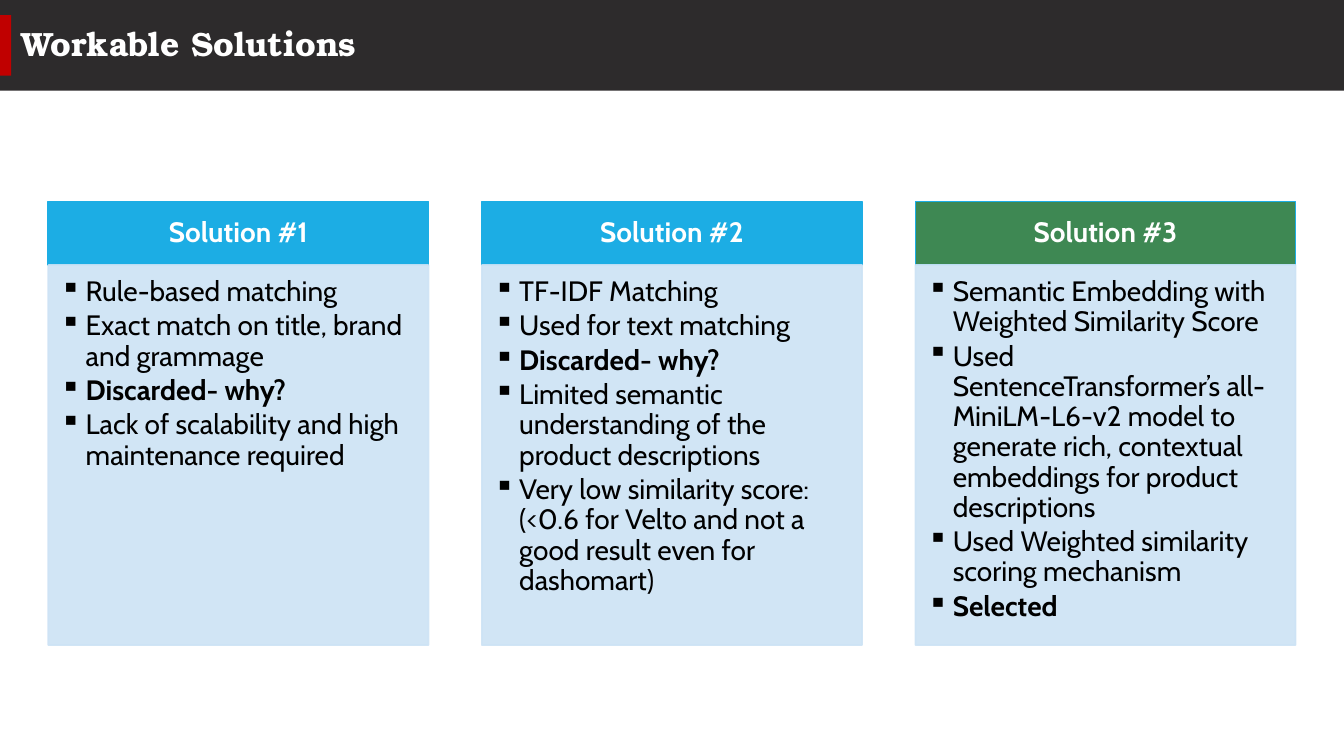
"""Build the slide that compares three workable solutions."""
from lxml import etree
from pptx import Presentation
from pptx import util as u
from pptx.dml.color import RGBColor
from pptx.enum import shapes, text
from pptx.oxml.ns import qn


def block(x, y, w, h, fill, line=None, alpha=None):
    box = slide.shapes.add_shape(
        shapes.MSO_SHAPE.RECTANGLE, *(u.Inches(n) for n in (x, y, w, h)))
    box.shadow.inherit = False
    box.fill.solid()
    box.fill.fore_color.rgb = RGBColor.from_string(fill)
    if line:
        box.line.color.rgb = RGBColor.from_string(line)
        box.line.width = u.Pt(1.25)
    else:
        box.line.fill.background()
    if alpha:
        for tint in box.element.xpath("p:spPr//a:srgbClr"):
            etree.SubElement(tint, qn("a:alpha"), val=str(alpha * 1000))
    return box


def write(box, lines, size=20, font="Cabin", color="000000", bold=(),
          align="LEFT", anchor="MIDDLE", pad=(0.1, 0.05, 0.1, 0.05),
          after=0, bullet=None):
    frame = box.text_frame
    frame.word_wrap = True
    frame.auto_size = text.MSO_AUTO_SIZE.NONE
    frame.vertical_anchor = text.MSO_ANCHOR[anchor]
    (frame.margin_left, frame.margin_top,
     frame.margin_right, frame.margin_bottom) = map(u.Inches, pad)
    for i, line in enumerate(lines):
        para = frame.add_paragraph() if i else frame.paragraphs[0]
        para.alignment = text.PP_ALIGN[align]
        para.line_spacing = 0.9
        para.space_before = u.Pt(0)
        para.space_after = u.Pt(after)
        if bullet:
            props = para._p.get_or_add_pPr()
            props.set("marL", str(u.Inches(0.25)))
            props.set("indent", str(u.Inches(-0.25)))
            etree.SubElement(props, qn("a:buChar"), char=bullet)
        run = para.add_run()
        run.text = line
        run.font.name = font
        run.font.size = u.Pt(size)
        run.font.bold = line in bold
        run.font.color.rgb = RGBColor.from_string(color)


deck = Presentation()
deck.slide_width, deck.slide_height = u.Inches(13.33), u.Inches(7.5)
slide = deck.slides.add_slide(deck.slide_layouts[5])

block(0, 0, 13.33, 0.9, "2D2B2C")
block(0, 0.15, 0.11, 0.6, "C00000")

title = slide.shapes.title
title.left, title.top = u.Inches(0.11), u.Inches(0.15)
title.width, title.height = u.Inches(12.98), u.Inches(0.6)
slide.shapes._spTree.append(title.element)
name = "Workable Solutions"
write(title, [name], size=24, font="TeX Gyre Bonum", color="FFFFFF", bold=[name])

cards = [
    ("1CADE4", ["Rule-based matching",
                "Exact match on title, brand and grammage",
                "Discarded- why?",
                "Lack of scalability and high maintenance required"]),
    ("1CADE4", ["TF-IDF Matching",
                "Used for text matching",
                "Discarded- why?",
                "Limited semantic understanding of the product descriptions",
                "Very low similarity score: (<0.6 for Velto and not a good "
                "result even for dashomart)"]),
    ("3E8853", ["Semantic Embedding with Weighted Similarity Score",
                "Used SentenceTransformer’s all-MiniLM-L6-v2 model to generate "
                "rich, contextual embeddings for product descriptions",
                "Used Weighted similarity scoring mechanism",
                "Selected"]),
]
for i, (fill, points) in enumerate(cards):
    x = 0.48 + 4.3 * i
    head = f"Solution #{i + 1}"
    write(block(x, 2, 3.77, 0.63, fill, "1CADE4"), [head], color="FFFFFF",
          bold=[head], align="CENTER", pad=(0.16, 0.09, 0.16, 0.09))
    write(block(x, 2.63, 3.77, 3.77, "CDE3F5", "CDE3F5", 90), points,
          bold=["Discarded- why?", "Selected"], anchor="TOP",
          pad=(0.12, 0.12, 0.16, 0.17), after=3, bullet="▪")

deck.save("out.pptx")
